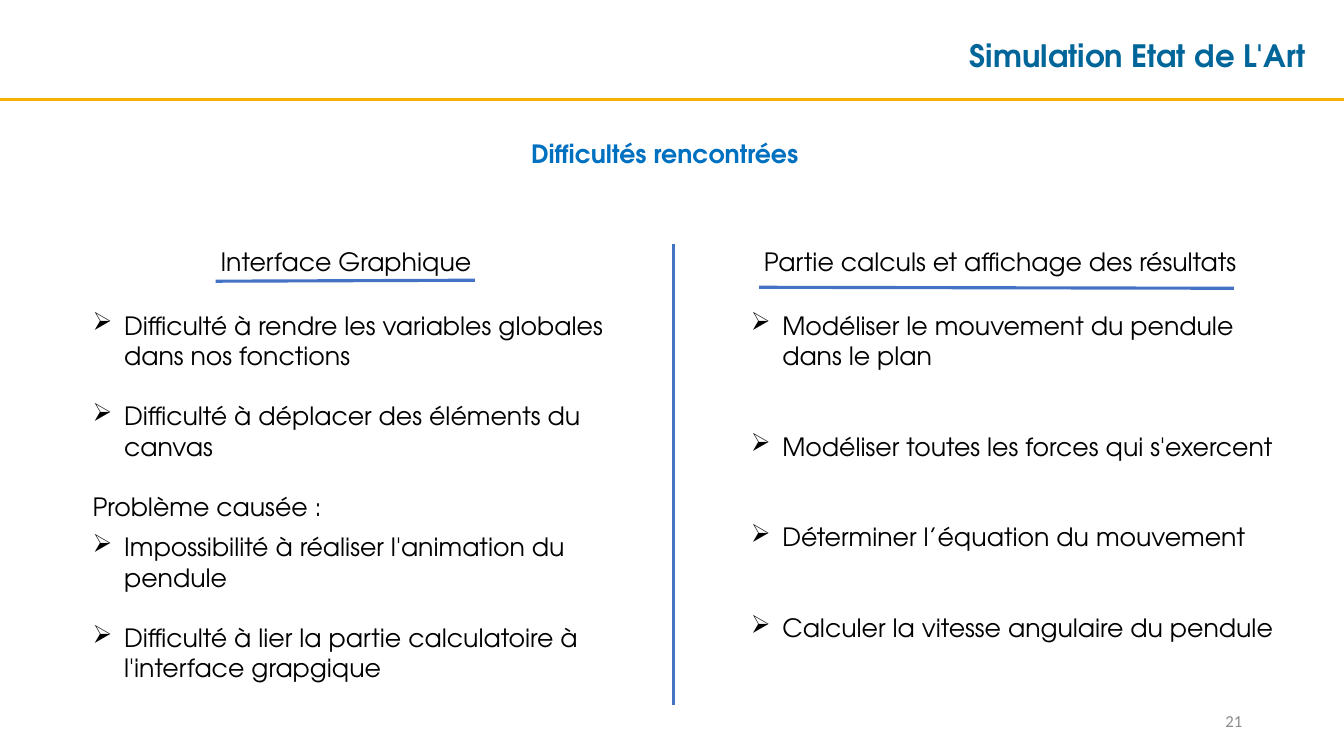
import collections
import dataclasses

import pptx
import pptx.dml.color
import pptx.enum.shapes
import pptx.enum.text
import pptx.oxml
import pptx.oxml.ns
import pptx.util

Align = pptx.enum.text.PP_ALIGN
Anchor = pptx.enum.text.MSO_ANCHOR
Box = collections.namedtuple("Box", "column row columns rows")
Item = collections.namedtuple("Item", "text gap bullet", defaults=(0, True))

GRID_COLUMNS, GRID_ROWS = 40, 30
SLIDE_WIDTH, SLIDE_HEIGHT = pptx.util.Inches(13.33), pptx.util.Inches(7.5)


@dataclasses.dataclass(frozen=True)
class Theme:
    font: str = "TeX Gyre Adventor"
    number_font: str = "Calibri"
    text: str = "000000"
    title: str = "006699"
    subtitle: str = "0070C0"
    number: str = "8C8C8C"
    rule: str = "F9B000"
    accent: str = "4472C4"
    title_size: float = 22
    body_size: float = 18
    number_size: float = 12
    line_width: float = 2.25
    blank_line: float = 21.6
    small_gap: float = 7.2
    indent: float = 22.5


THEME = Theme()


def across(columns):
    return round(SLIDE_WIDTH * columns / GRID_COLUMNS)


def down(rows):
    return round(SLIDE_HEIGHT * rows / GRID_ROWS)


def add_bullet(para):
    properties = para._p.get_or_add_pPr()
    indent = pptx.util.Pt(THEME.indent)
    properties.set("marL", str(indent))
    properties.set("indent", str(-indent))
    bullet = pptx.oxml.parse_xml(
        f'<a:buChar {pptx.oxml.ns.nsdecls("a")} char="➢"/>')
    properties.append(bullet)


def write(para, text, *, size=THEME.body_size, color=THEME.text,
          font=THEME.font, bold=False, align=Align.LEFT, gap=0, bullet=False):
    para.alignment = align
    para.space_before = pptx.util.Pt(gap)
    if bullet:
        add_bullet(para)
    span = para.add_run()
    span.text = text
    span.font.name = font
    span.font.size = pptx.util.Pt(size)
    span.font.bold = bold
    span.font.color.rgb = pptx.dml.color.RGBColor.from_string(color)


def add_frame(page, box, anchor=Anchor.TOP):
    shape = page.shapes.add_textbox(across(box.column), down(box.row),
                                    across(box.columns), down(box.rows))
    shape.text_frame.word_wrap = True
    shape.text_frame.vertical_anchor = anchor
    return shape.text_frame


def add_label(page, box, text, anchor=Anchor.TOP, **style):
    write(add_frame(page, box, anchor).paragraphs[0], text, **style)


def add_line(page, start, end, color=THEME.accent):
    line = page.shapes.add_connector(
        pptx.enum.shapes.MSO_CONNECTOR.STRAIGHT,
        across(start[0]), down(start[1]), across(end[0]), down(end[1]))
    line.line.color.rgb = pptx.dml.color.RGBColor.from_string(color)
    line.line.width = pptx.util.Pt(THEME.line_width)
    effects = pptx.oxml.parse_xml(f'<a:effectLst {pptx.oxml.ns.nsdecls("a")}/>')
    line._element.spPr.append(effects)


def add_header(page, box, title):
    """Title at the right of the band, with a rule along its bottom."""
    bottom = box.row + box.rows
    title_box = Box(box.column + box.columns - 11.77, box.row + 1.28, 11.28, 1.88)
    add_label(page, title_box, title, size=THEME.title_size,
              color=THEME.title, bold=True, align=Align.CENTER)
    add_line(page, (box.column, bottom), (box.column + box.columns, bottom),
             THEME.rule)


def add_topic(page, box, heading, items, *, inset, heading_columns,
              underline_columns, underline_rows):
    """Underlined heading above a list; underline_rows gives its two end heights."""
    left = box.column + inset
    add_label(page, Box(left, box.row, heading_columns, 1.6), heading)
    start_row, end_row = (box.row + rows for rows in underline_rows)
    add_line(page, (left + 0.15, start_row),
             (left + 0.15 + underline_columns, end_row))

    list_top = 2.54
    frame = add_frame(page, Box(box.column, box.row + list_top,
                                box.columns, box.rows - list_top))
    for index, item in enumerate(items):
        para = frame.add_paragraph() if index else frame.paragraphs[0]
        write(para, item.text, gap=item.gap, bullet=item.bullet)


def build_difficulties(page):
    add_header(page, Box(0, 0, GRID_COLUMNS, 3.96), "Simulation Etat de L'Art")
    add_label(page, Box(15.51, 5.28, 9, 1.6), "Difficultés rencontrées",
              color=THEME.subtitle, bold=True)

    one, two = THEME.blank_line, 2 * THEME.blank_line
    add_topic(page, Box(2.46, 9.56, 16.68, 17.92), "Interface Graphique", [
        Item("Difficulté à rendre les variables globales dans nos fonctions"),
        Item("Difficulté à déplacer des éléments du canvas", one),
        Item("Problème causée :", one, bullet=False),
        Item("Impossibilité à réaliser l'animation du pendule", THEME.small_gap),
        Item("Difficulté à lier la partie calculatoire à l'interface grapgique", one),
    ], inset=3.81, heading_columns=9, underline_columns=7.71,
        underline_rows=(1.6, 1.56))
    add_line(page, (20.05, 9.68), (20.05, 27.96))
    add_topic(page, Box(22.05, 9.56, 16.38, 19.88),
              "Partie calculs et affichage des résultats", [
        Item("Modéliser le mouvement du pendule dans le plan"),
        Item("Modéliser toutes les forces qui s'exercent", two),
        Item("Déterminer l’équation du mouvement", two),
        Item("Calculer la vitesse angulaire du pendule", two),
    ], inset=0.39, heading_columns=15.09, underline_columns=14.13,
        underline_rows=(1.84, 1.88))

    add_label(page, Box(28.27, 27.8, 9, 1.6), "21", Anchor.MIDDLE,
              size=THEME.number_size, color=THEME.number,
              font=THEME.number_font, align=Align.RIGHT)


def main():
    deck = pptx.Presentation()
    deck.slide_width, deck.slide_height = SLIDE_WIDTH, SLIDE_HEIGHT
    build_difficulties(deck.slides.add_slide(deck.slide_layouts[6]))
    deck.save("out.pptx")


if __name__ == "__main__":
    main()
